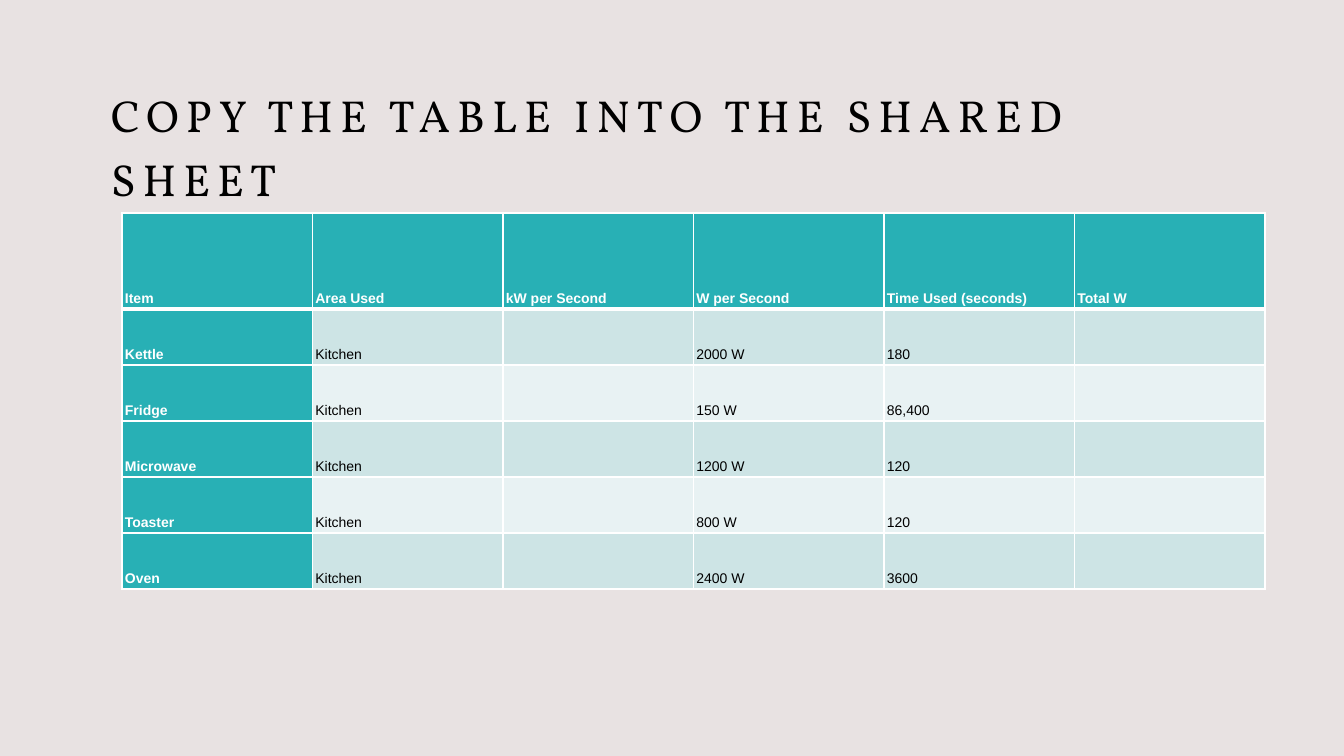
from lxml.etree import SubElement as Sub
from pptx import Presentation
from pptx.dml.color import RGBColor as RGB
from pptx.enum.text import MSO_ANCHOR as Anchor
from pptx.oxml.ns import qn
from pptx.util import Pt

COLORS = {
    "back": "E8E2E2",
    "teal": "28B0B5",
    "dark": "CDE4E5",
    "light": "E8F2F3",
    "white": "FFFFFF",
    "black": "000000",
}
ROWS = [
    ["Item", "Area Used", "kW per Second", "W per Second", "Time Used (seconds)", "Total W"],
    ["Kettle", "Kitchen", "", "2000 W", "180", ""],
    ["Fridge", "Kitchen", "", "150 W", "86,400", ""],
    ["Microwave", "Kitchen", "", "1200 W", "120", ""],
    ["Toaster", "Kitchen", "", "800 W", "120", ""],
    ["Oven", "Kitchen", "", "2400 W", "3600", ""],
]


def px(size):
    return round(size * 914400 / 100.8)


def style(font, name, size, color, bold):
    font.name = name
    font.size = Pt(size)
    font.bold = bold
    font.color.rgb = RGB.from_string(COLORS[color])


deck = Presentation()
deck.slide_width, deck.slide_height = px(1344), px(756)
slide = deck.slides.add_slide(deck.slide_layouts[6])
slide.background.fill.solid()
slide.background.fill.fore_color.rgb = RGB.from_string(COLORS["back"])

title = slide.shapes.add_textbox(px(101), px(69), px(1143), px(144)).text_frame
title.word_wrap = True
title.vertical_anchor = Anchor.MIDDLE
para = title.paragraphs[0]
para.line_spacing = 1.2
run = para.add_run()
run.text = "COPY THE TABLE INTO THE SHARED SHEET"
style(para.font, "Vollkorn", 32, "black", False)
run._r.get_or_add_rPr().set("spc", "500")

table = slide.shapes.add_table(6, 6, px(122), px(213), px(1143), px(376)).table
for r, row in enumerate(ROWS):
    table.rows[r].height = px(56 if r else 96)
    for c, text in enumerate(row):
        cell = table.cell(r, c)
        head = r == 0 or c == 0
        cell.vertical_anchor = Anchor.BOTTOM
        cell.margin_left = cell.margin_right = px(3)
        cell.margin_top = cell.margin_bottom = px(2)
        for side in "LRTB":
            thick = (r, side) in [(0, "B"), (1, "T")]
            line = Sub(cell._tc.get_or_add_tcPr(), qn("a:ln" + side), w=str(Pt(3 if thick else 1)))
            Sub(Sub(line, qn("a:solidFill")), qn("a:srgbClr"), val=COLORS["white"])
        cell.fill.solid()
        fill = "teal" if head else "dark" if r % 2 else "light"
        cell.fill.fore_color.rgb = RGB.from_string(COLORS[fill])
        para = cell.text_frame.paragraphs[0]
        para.line_spacing = 1.07
        para.space_after = Pt(8)
        para.text = text
        style(para.font, "Arial", 10, "white" if head else "black", head)

deck.save("out.pptx")
